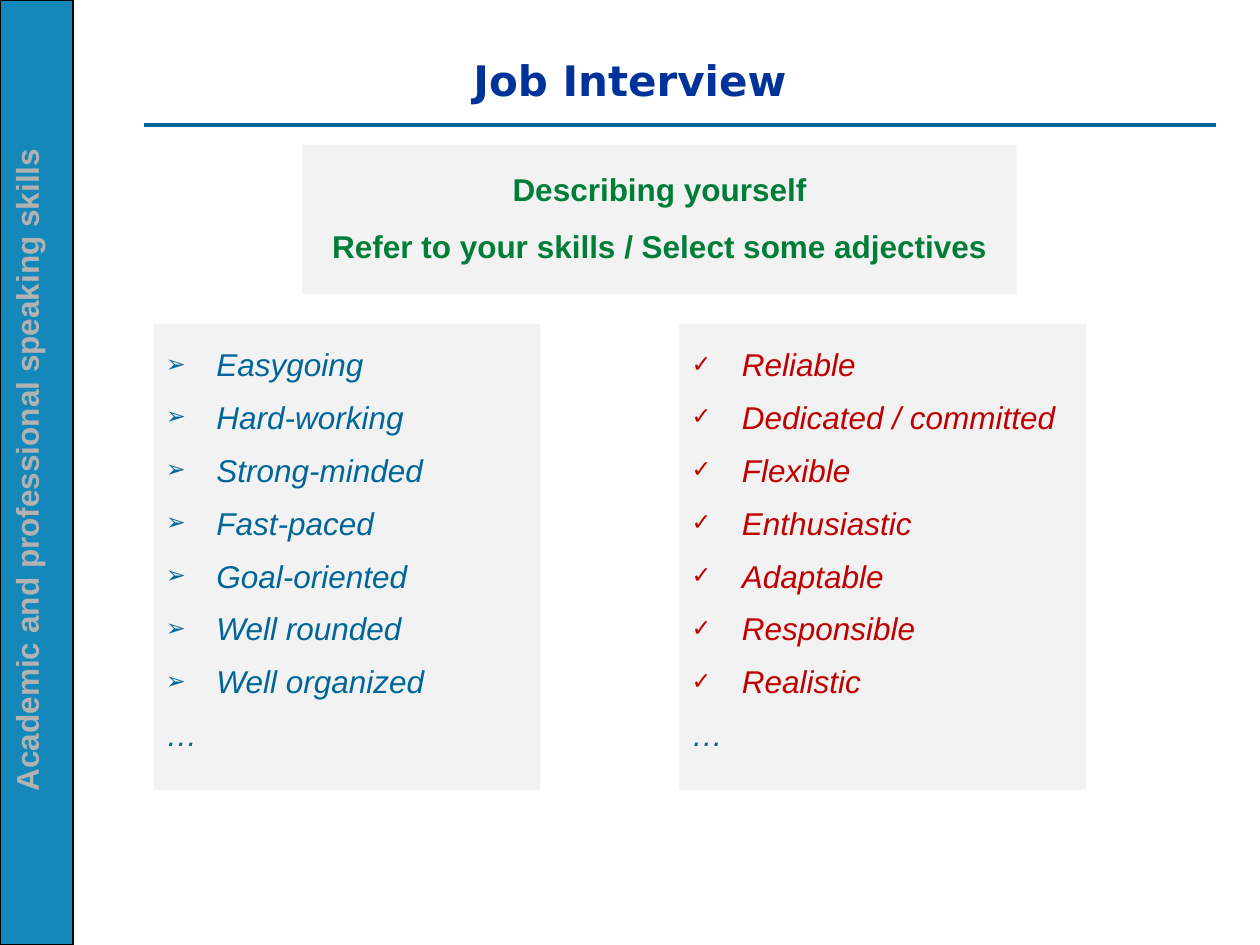
from lxml.etree import SubElement
from pptx import Presentation
from pptx.dml.color import RGBColor
from pptx.enum.shapes import MSO_CONNECTOR, MSO_SHAPE
from pptx.enum.text import MSO_ANCHOR, PP_ALIGN
from pptx.oxml.ns import qn
from pptx.util import Inches, Pt

BLUE, RED, GREEN = "006699", "C00000", "007E39"
PANEL = "F2F2F2"
TRAITS = ["Easygoing", "Hard-working", "Strong-minded", "Fast-paced",
          "Goal-oriented", "Well rounded", "Well organized"]
VALUES = ["Reliable", "Dedicated / committed", "Flexible", "Enthusiastic",
          "Adaptable", "Responsible", "Realistic"]


def rgb(value):
    return RGBColor.from_string(value)


def add_rect(slide, box, fill, line=None):
    shape = slide.shapes.add_shape(MSO_SHAPE.RECTANGLE, *map(Inches, box))
    shape.shadow.inherit = False
    shape.fill.solid()
    shape.fill.fore_color.rgb = rgb(fill)
    if line:
        shape.line.color.rgb = rgb(line)
        shape.line.width = Pt(1)
    else:
        shape.line.fill.background()
    return shape


def add_label(slide, box):
    return slide.shapes.add_textbox(*map(Inches, box))


def write(shape, lines, color, align=PP_ALIGN.CENTER, spacing=1.0,
          anchor=MSO_ANCHOR.TOP, **style):
    """Fill the shape with one paragraph per line and return the paragraphs."""
    frame = shape.text_frame
    frame.word_wrap = True
    frame.vertical_anchor = anchor
    frame.text = "\n".join(lines)
    look = {"name": "Arial", "size": Pt(18), **style}
    for para in frame.paragraphs:
        para.alignment = align
        para.line_spacing = spacing
        font = para.runs[0].font
        font.color.rgb = rgb(color)
        for key, value in look.items():
            setattr(font, key, value)
    return frame.paragraphs


def set_bullet(para, mark, color):
    props = para._p.get_or_add_pPr()
    props.set("marL", str(Inches(0.4)))
    props.set("indent", str(-Inches(0.4)))
    tint = SubElement(props, qn("a:buClr"))
    SubElement(tint, qn("a:srgbClr"), val=color)
    SubElement(props, qn("a:buSzPct"), val="75000")
    SubElement(props, qn("a:buFont"), typeface="Arial")
    SubElement(props, qn("a:buChar"), char=mark)


def add_banner(slide, box):
    """Side band with the course name reading upwards."""
    left, top, width, height = box
    add_rect(slide, box, "1588BB", "000000")
    long, thick = height, 0.4
    mid_x, mid_y = left + width / 2 - 0.08, top + height / 2 - 0.02
    label = add_label(slide, (mid_x - long / 2, mid_y - thick / 2, long, thick))
    label.rotation = 270
    write(label, ["Academic and professional speaking skills"], "B2B2B2",
          bold=True)


def add_title(slide, box):
    """Heading with a rule along the bottom of the box."""
    left, top, width, height = box
    label = add_label(slide, (left + 0.24, top, 7.24, height))
    write(label, ["Job Interview"], "003399", anchor=MSO_ANCHOR.MIDDLE,
          name="DejaVu Sans", size=Pt(24), bold=True)
    base = top + height
    rule = slide.shapes.add_connector(
        MSO_CONNECTOR.STRAIGHT, *map(Inches, (left, base, left + width, base)))
    rule.line.color.rgb = rgb(BLUE)
    rule.line.width = Pt(2.25)
    SubElement(rule._element.spPr, qn("a:effectLst"))


def add_topic(slide, box):
    write(add_rect(slide, box, PANEL),
          ["Describing yourself",
           "Refer to your skills / Select some adjectives"],
          GREEN, spacing=1.5, bold=True)


def add_list(slide, box, words, mark, color):
    """Panel of bulleted words that ends with a plain ellipsis."""
    panel = add_rect(slide, box, PANEL)
    *items, rest = write(panel, words + ["…"], color, PP_ALIGN.LEFT, 1.4,
                         italic=True)
    for para in items:
        set_bullet(para, mark, color)
    rest.runs[0].font.color.rgb = rgb(BLUE)


def main():
    deck = Presentation()
    deck.slide_width, deck.slide_height = Inches(10), Inches(7.5)
    slide = deck.slides.add_slide(deck.slide_layouts[6])
    add_banner(slide, (0, 0, 0.58, 7.5))
    add_title(slide, (1.14, 0.28, 8.51, 0.71))
    add_topic(slide, (2.4, 1.15, 5.67, 1.18))
    add_list(slide, (1.22, 2.57, 3.07, 3.7), TRAITS, "➢", BLUE)
    add_list(slide, (5.39, 2.57, 3.23, 3.7), VALUES, "✓", RED)
    deck.save("out.pptx")


if __name__ == "__main__":
    main()
